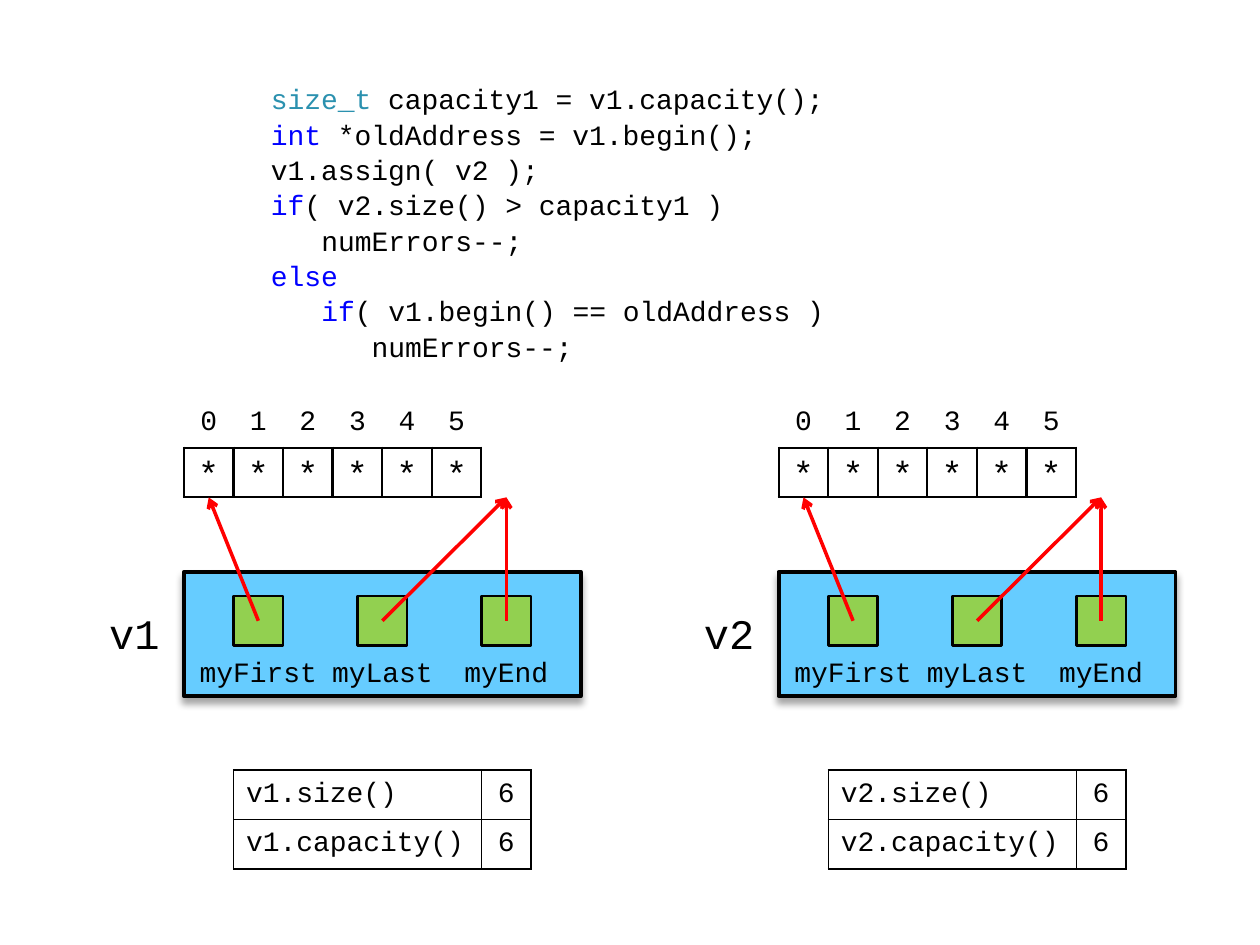
from lxml.etree import SubElement
from pptx import Presentation
from pptx.dml.color import RGBColor
from pptx.enum.shapes import MSO_CONNECTOR as Connector, MSO_SHAPE as Shape
from pptx.enum.text import MSO_ANCHOR as Anchor, PP_ALIGN as Align
from pptx.oxml import parse_xml
from pptx.oxml.ns import nsdecls, qn
from pptx.util import Inches, Pt

COLORS = {
    "text": "000000", "keyword": "0000FF", "type": "2B91AF",
    "panel": "66CCFF", "field": "92D050", "arrow": "FF0000",
}
UNIT = 1 / 2.54
INDENT = 0.4
CODE = [
    (0, [("size_t ", "type"), ("capacity1 = v1.capacity();", "text")]),
    (0, [("int ", "keyword"), ("*oldAddress = v1.begin();", "text")]),
    (0, [("v1.assign( v2 );", "text")]),
    (0, [("if", "keyword"), ("( v2.size() > capacity1 )", "text")]),
    (1, [("numErrors--;", "text")]),
    (0, [("else", "keyword")]),
    (1, [("if", "keyword"), ("( v1.begin() == oldAddress )", "text")]),
    (2, [("numErrors--;", "text")]),
]
VECTORS = [("v1", 1.46), ("v2", 6.18)]
FIELDS = [("myFirst", 0, 0.5), ("myLast", 2.5, 6.5), ("myEnd", 5, 6.5)]
CELLS_TOP, PANEL_TOP, FIELD_TOP, LABEL_TOP, SIZES_TOP = 3.16, 4.54, 4.73, 5.13, 6.11


def color(name):
    return RGBColor.from_string(COLORS[name])


class SlideBuilder:
    """Draws styled elements on the current slide."""

    def __init__(self, slide, font="Courier New", size=16):
        self.slide, self.font, self.size = slide, font, size

    def style(self, paragraph, size=None, align=Align.CENTER):
        paragraph.alignment = align
        paragraph.font.name = self.font
        paragraph.font.size = Pt(size or self.size)
        paragraph.font.color.rgb = color("text")

    def code(self, lines, left, top, width, height):
        body = self.slide.placeholders[1]
        body.left, body.top = Inches(left), Inches(top)
        body.width, body.height = Inches(width), Inches(height)
        frame = body.text_frame
        frame.vertical_anchor = Anchor.TOP
        for index, (level, runs) in enumerate(lines):
            paragraph = frame.add_paragraph() if index else frame.paragraphs[0]
            self.style(paragraph, align=Align.LEFT)
            paragraph.space_before = Pt(1)
            properties = paragraph._p.get_or_add_pPr()
            properties.set("marL", str(Inches(level * INDENT)))
            properties.set("indent", "0")
            properties.insert_element_before(
                parse_xml(f"<a:buNone {nsdecls('a')}/>"), "a:tabLst", "a:defRPr", "a:extLst")
            for text, role in runs:
                run = paragraph.add_run()
                run.text = text
                run.font.color.rgb = color(role)

    def label(self, text, left, top, width, height, size=None):
        box = self.slide.shapes.add_textbox(
            Inches(left), Inches(top), Inches(width), Inches(height))
        frame = box.text_frame
        frame.word_wrap = True
        frame.vertical_anchor = Anchor.MIDDLE
        paragraph = frame.paragraphs[0]
        paragraph.text = text
        self.style(paragraph, size)

    def box(self, kind, fill, line_width, left, top, width, height):
        shape = self.slide.shapes.add_shape(
            kind, Inches(left), Inches(top), Inches(width), Inches(height))
        shape.shadow.inherit = False
        shape.fill.solid()
        shape.fill.fore_color.rgb = color(fill)
        shape.line.color.rgb = color("text")
        shape.line.width = Pt(line_width)
        return shape

    def panel(self, left, top, width, height):
        shape = self.box(Shape.FLOWCHART_PROCESS, "panel", 2.25, left, top, width, height)
        effects = shape._element.spPr.find(qn("a:effectLst"))
        effects.append(parse_xml(
            f'<a:outerShdw {nsdecls("a")} blurRad="{Pt(4)}" dist="{Pt(3)}" dir="5400000" '
            f'rotWithShape="0"><a:srgbClr val="{COLORS["text"]}"><a:alpha val="35000"/>'
            '</a:srgbClr></a:outerShdw>'))

    def arrow(self, start, end):
        line = self.slide.shapes.add_connector(
            Connector.STRAIGHT, *(Inches(value) for value in (*start, *end)))
        line.line.color.rgb = color("arrow")
        line.line.width = Pt(2)
        SubElement(line.line._get_or_add_ln(), qn("a:tailEnd"), type="arrow")
        SubElement(line._element.spPr, qn("a:effectLst"))

    def table(self, rows, widths, left, top):
        table = self.slide.shapes.add_table(
            len(rows), len(widths), Inches(left), Inches(top),
            Inches(sum(widths)), Inches(len(rows) * UNIT)).table
        table.first_row = table.horz_banding = False
        for column, width in zip(table.columns, widths):
            column.width = Inches(width)
        for row, texts in zip(table.rows, rows):
            row.height = Inches(UNIT)
            for cell, text in zip(row.cells, texts):
                cell.text = text
                cell.vertical_anchor = Anchor.MIDDLE
                cell.margin_top = cell.margin_bottom = Inches(0.04)
                self.style(cell.text_frame.paragraphs[0])
        return table

    def borders(self, cell, sides, width):
        properties = cell._tc.get_or_add_tcPr()
        for side in sides:
            properties.append(parse_xml(
                f'<a:ln{side} {nsdecls("a")} w="{Pt(width)}"><a:solidFill>'
                f'<a:srgbClr val="{COLORS["text"]}"/></a:solidFill></a:ln{side}>'))
        cell.fill.background()

    def array(self, left, top, count):
        table = self.table([[str(i) for i in range(count)], ["*"] * count],
                           [UNIT] * count, left, top)
        for header, value in zip(table.rows[0].cells, table.rows[1].cells):
            header.margin_left = header.margin_right = Inches(0.06)
            self.borders(header, "B", 1.5)
            value.margin_left = value.margin_right = 0
            value.margin_top = value.margin_bottom = 0
            value.vertical_anchor = Anchor.BOTTOM
            self.style(value.text_frame.paragraphs[0], 20)
            self.borders(value, "LRTB", 1.5)

    def sizes(self, name, left, top):
        table = self.table([[f"{name}.size()", "6"], [f"{name}.capacity()", "6"]],
                           [5 * UNIT, UNIT], left, top)
        for row in table.rows:
            row.cells[0].text_frame.paragraphs[0].alignment = Align.LEFT
            for cell in row.cells:
                self.borders(cell, "LRTB", 1)

    def vector(self, name, left):
        self.label(name, left - 2 * UNIT, FIELD_TOP, 2 * UNIT, 1.5 * UNIT, 24)
        self.panel(left, PANEL_TOP, 8 * UNIT, 2.5 * UNIT)
        for field, offset, _ in FIELDS:
            field_left = left + offset * UNIT
            self.label(field, field_left, LABEL_TOP, 3 * UNIT, UNIT)
            self.box(Shape.RECTANGLE, "field", 1.5, field_left + UNIT, FIELD_TOP, UNIT, UNIT)
        self.array(left, CELLS_TOP, 6)
        for _, offset, target in FIELDS:
            self.arrow((left + (offset + 1.5) * UNIT, FIELD_TOP + UNIT / 2),
                       (left + target * UNIT, CELLS_TOP + 2 * UNIT))
        self.sizes(name, left + UNIT, SIZES_TOP)


def main():
    presentation = Presentation()
    presentation.slide_width, presentation.slide_height = Inches(10), Inches(7.5)
    slide = presentation.slides.add_slide(presentation.slide_layouts[1])
    title = slide.shapes.title._element
    title.getparent().remove(title)
    builder = SlideBuilder(slide)
    builder.code(CODE, 2.05, 0.6, 4.73, 2.36)
    for name, left in VECTORS:
        builder.vector(name, left)
    presentation.save("out.pptx")


if __name__ == "__main__":
    main()
